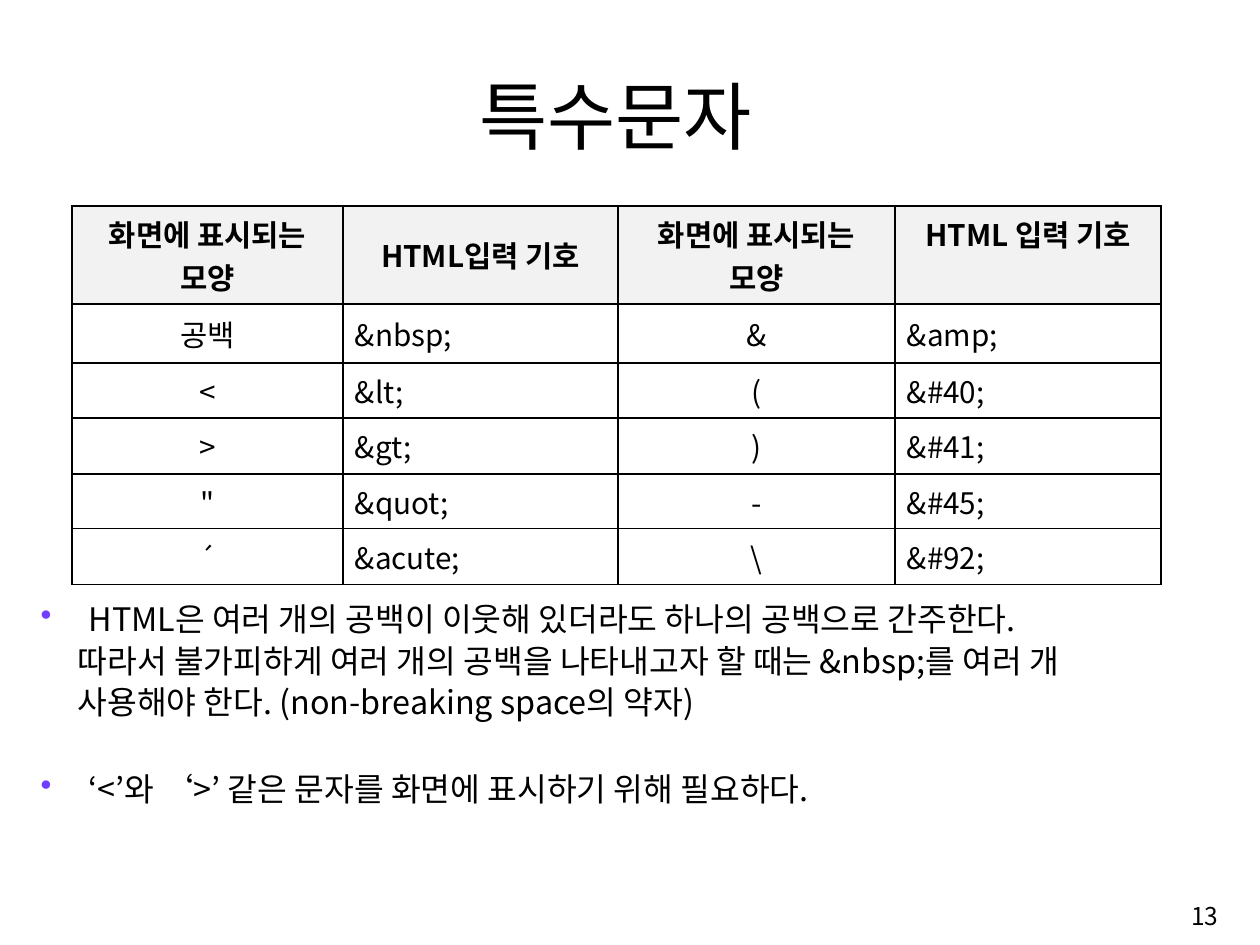
"""Builds the slide on HTML special characters."""
from lxml import etree
from pptx import Presentation
from pptx.dml.color import RGBColor
from pptx.enum.text import MSO_ANCHOR, PP_ALIGN
from pptx.oxml.ns import qn
from pptx.util import Pt

EMU_PER_PX = 914400 / 97
FONT = "Noto Sans CJK KR"
BLACK, WHITE, GRAY, PURPLE = "000000", "FFFFFF", "F2F2F2", "703DFF"
LEFT, CENTER, RIGHT = PP_ALIGN.LEFT, PP_ALIGN.CENTER, PP_ALIGN.RIGHT
TOP, MIDDLE, BOTTOM = MSO_ANCHOR.TOP, MSO_ANCHOR.MIDDLE, MSO_ANCHOR.BOTTOM

COL_WIDTHS = [271, 275, 277, 266]
ROW_HEIGHTS = [98, 59, 55, 56, 55, 56]
ROWS = [
    ["화면에 표시되는 모양", "HTML입력 기호", "화면에 표시되는 모양", "HTML 입력 기호"],
    ["공백", "&nbsp;", "&", "&amp;"],
    ["<", "&lt;", "(", "&#40;"],
    [">", "&gt;", ")", "&#41;"],
    ['"', "&quot;", "-", "&#45;"],
    ["´", "&acute;", "\\", "&#92;"],
]
NOTES = [
    ("HTML은 여러 개의 공백이 이웃해 있더라도 하나의 공백으로 간주한다.", True, 4.8),
    ("따라서 불가피하게 여러 개의 공백을 나타내고자 할 때는 &nbsp;를 여러 개", False, 4.8),
    ("사용해야 한다. (non-breaking space의 약자)", False, 4.8),
    ("‘<’와 ‘>’ 같은 문자를 화면에 표시하기 위해 필요하다.", True, 38.4),
]


def px(n):
    """Turn px into EMU."""
    return round(n * EMU_PER_PX)


def rgb(color):
    """Turn a hex string into a colour."""
    return RGBColor.from_string(color)


def add_run(p, text, size, bold=False):
    """Add a black run in the slide font."""
    r = p.add_run()
    r.text = text
    r.font.size = Pt(size)
    r.font.bold = bold
    r.font.name = FONT
    r.font.color.rgb = rgb(BLACK)


def add_box(s, x, y, w, h, anchor):
    """Add a wrapping text box and return its text frame."""
    tf = s.shapes.add_textbox(px(x), px(y), px(w), px(h)).text_frame
    tf.word_wrap = True
    tf.vertical_anchor = anchor
    return tf


def add_label(s, x, y, w, h, text, size, align, anchor):
    """Add a text box with a single line."""
    p = add_box(s, x, y, w, h, anchor).paragraphs[0]
    p.alignment = align
    add_run(p, text, size)


def set_indent(p, margin, bulleted):
    """Indent a paragraph, hanging it from a purple bullet if asked."""
    pPr = p._p.get_or_add_pPr()
    pPr.set("marL", str(px(margin)))
    pPr.set("indent", str(px(-margin if bulleted else 0)))
    if bulleted:
        color = etree.SubElement(pPr, qn("a:buClr"))
        etree.SubElement(color, qn("a:srgbClr"), val=PURPLE)
        etree.SubElement(pPr, qn("a:buChar"), char="•")


def add_notes(s, x, y, w, h):
    """Add the bulleted notes."""
    tf = add_box(s, x, y, w, h, TOP)
    for i, (text, bulleted, before) in enumerate(NOTES):
        p = tf.add_paragraph() if i else tf.paragraphs[0]
        p.line_spacing = 0.9
        p.space_before = Pt(before)
        set_indent(p, 48 if bulleted else 37, bulleted)
        add_run(p, text, 24)


def set_borders(cell):
    """Draw a thin black line on each side of a cell."""
    tcPr = cell._tc.get_or_add_tcPr()
    for side in ("a:lnL", "a:lnR", "a:lnT", "a:lnB"):
        ln = etree.SubElement(tcPr, qn(side), w=str(Pt(1)))
        fill = etree.SubElement(ln, qn("a:solidFill"))
        etree.SubElement(fill, qn("a:srgbClr"), val=BLACK)


def fill_cell(cell, text, header, align, anchor):
    """Format a cell and write its text."""
    set_borders(cell)
    cell.fill.solid()
    cell.fill.fore_color.rgb = rgb(GRAY if header else WHITE)
    cell.vertical_anchor = anchor
    cell.margin_left = cell.margin_right = px(12)
    cell.margin_top = cell.margin_bottom = px(6)
    p = cell.text_frame.paragraphs[0]
    p.alignment = align
    add_run(p, text, 20 if text == "´" else 22, header)


def add_symbol_table(s, x, y):
    """Add the table of symbols and their HTML codes."""
    table = s.shapes.add_table(
        len(ROWS), len(COL_WIDTHS), px(x), px(y),
        px(sum(COL_WIDTHS)), px(sum(ROW_HEIGHTS))).table
    table.horz_banding = False
    for col, width in zip(table.columns, COL_WIDTHS):
        col.width = px(width)
    for i, (row, height) in enumerate(zip(table.rows, ROW_HEIGHTS)):
        row.height = px(height)
        for j, text in enumerate(ROWS[i]):
            header = i == 0
            align = CENTER if header or j % 2 == 0 else LEFT
            anchor = TOP if header and j == 3 else MIDDLE
            fill_cell(table.cell(i, j), text, header, align, anchor)


def main():
    """Build and save the slide."""
    prs = Presentation()
    prs.slide_width, prs.slide_height = px(1260), px(945)
    s = prs.slides.add_slide(prs.slide_layouts[6])
    add_label(s, 101, 59, 1029, 105, "특수문자", 55, CENTER, BOTTOM)
    add_notes(s, 31, 599, 1195, 269)
    add_symbol_table(s, 72, 206)
    add_label(s, 968, 887, 260, 58, "13", 18.2, RIGHT, MIDDLE)
    prs.save("out.pptx")


if __name__ == "__main__":
    main()
